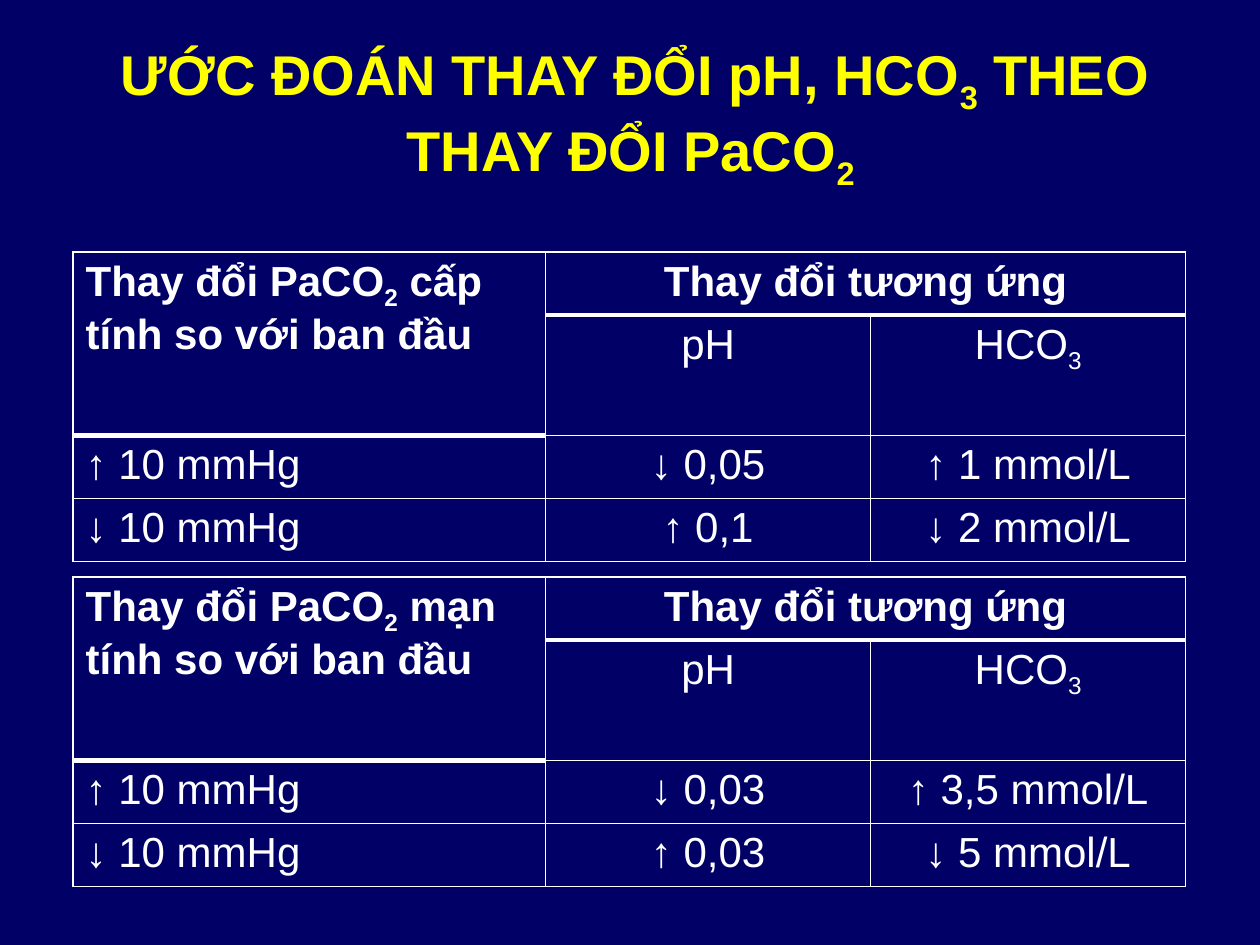
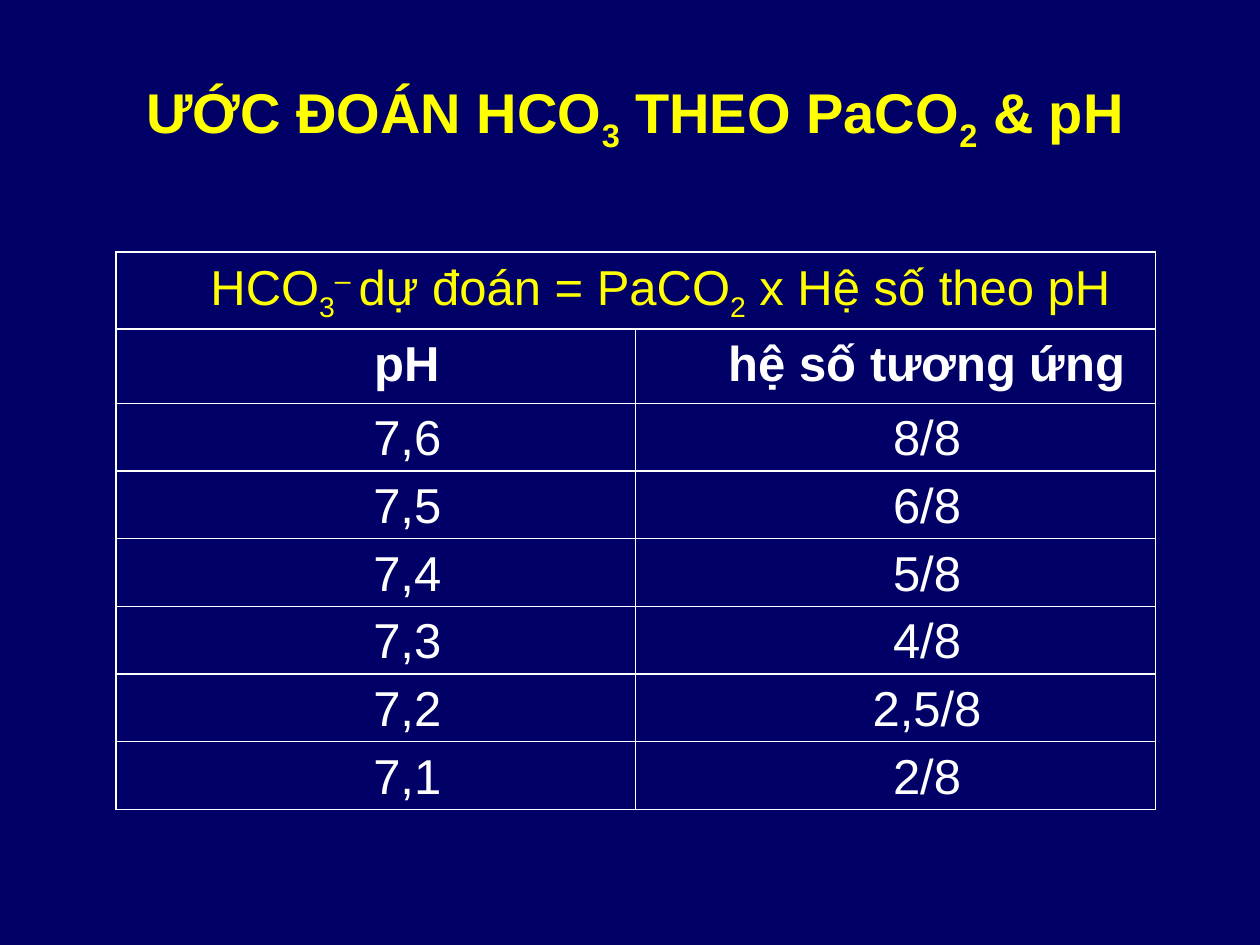
import pptx
import pptx.util
import pptx.dml.color
import pptx.enum.text
import pptx.oxml
import pptx.oxml.ns

Inches, Pt = pptx.util.Inches, pptx.util.Pt
ALIGN = pptx.enum.text.PP_ALIGN

COLORS = {"navy": "000066", "yellow": "FFFF00", "white": "FFFFFF", "black": "000000"}
FONT = "Arial"
BASELINES = {"_": "-25000", "^": "30000"}

ESTIMATE_TITLE = "ƯỚC ĐOÁN THAY ĐỔI pH, HCO|_3| THEO THAY ĐỔI PaCO|_2 "
ESTIMATES = [
    ("cấp", 2, [("↑ 10 mmHg", "↓ 0,05", "↑ 1 mmol/L"),
                ("↓ 10 mmHg", "↑ 0,1", "↓ 2 mmol/L")]),
    ("mạn", 4.58, [("↑ 10 mmHg", "↓ 0,03", "↑ 3,5 mmol/L"),
                   ("↓ 10 mmHg", "↑ 0,03", "↓ 5 mmol/L")]),
]
ESTIMATE_COLS = [3.75, 2.58, 2.5]
ESTIMATE_ROWS = [0.47, 0.9, 0.47, 0.47]
HEAVY_EDGES = {(0, 0), (1, 0), (0, 1), (0, 2)}

FACTOR_TITLE = "ƯỚC ĐOÁN HCO|_3| THEO PaCO|_2| & pH"
FACTOR_FORMULA = "HCO|_3|^– |dự đoán = PaCO|_2| x Hệ số theo pH "
FACTORS = [
    ("pH", "hệ số tương ứng"),
    ("7,6", "8/8"),
    ("7,5", "6/8"),
    ("7,4", "5/8"),
    ("7,3", "4/8"),
    ("7,2", "2,5/8"),
    ("7,1", "2/8"),
]
FACTOR_COLS = [4.125] * 2
FACTOR_ROWS = [0.58, 0.59] + [0.5] * 6


def element(xml):
    return pptx.oxml.parse_xml(xml.replace(">", " " + pptx.oxml.ns.nsdecls("a") + ">", 1))


def write(tf, text, size=24, color="white", bold=False, align=ALIGN.CENTER,
          shadow=False, indent=0, line=None, gap=None):
    p = tf.paragraphs[0]
    p.alignment = align
    if indent:
        p._p.get_or_add_pPr().set("marL", str(Inches(indent)))
        p._p.get_or_add_pPr().set("indent", "0")
    if line:
        p.line_spacing = line
    if gap:
        p.space_after = Pt(gap)
    for piece in text.split("|"):
        r = p.add_run()
        r.text = piece.lstrip("_^")
        r.font.name, r.font.size, r.font.bold = FONT, Pt(size), bold
        r.font.color.rgb = pptx.dml.color.RGBColor.from_string(COLORS[color])
        rPr = r.font._element
        if piece[0] in BASELINES:
            rPr.set("baseline", BASELINES[piece[0]])
        if shadow:
            fill = rPr.find(pptx.oxml.ns.qn("a:solidFill"))
            fill.addnext(element(
                '<a:effectLst><a:outerShdw dist="35921" dir="2700000">'
                f'<a:srgbClr val="{COLORS["black"]}"/></a:outerShdw></a:effectLst>'))


def add_slide(prs, title):
    s = prs.slides.add_slide(prs.slide_layouts[6])
    s.background.fill.solid()
    s.background.fill.fore_color.rgb = pptx.dml.color.RGBColor.from_string(COLORS["navy"])
    tf = s.shapes.add_textbox(Inches(0.47), Inches(0.42), Inches(9.14), Inches(1)).text_frame
    tf.word_wrap = True
    tf.vertical_anchor = pptx.enum.text.MSO_ANCHOR.MIDDLE
    write(tf, title, size=32, color="yellow", bold=True, shadow=True)
    return s


def set_borders(cell, widths):
    tcPr = cell._tc.get_or_add_tcPr()
    for i, (side, width) in enumerate(widths.items()):
        tcPr.insert(i, element(
            f'<a:ln{side} w="{Pt(width)}"><a:solidFill>'
            f'<a:srgbClr val="{COLORS["white"]}"/></a:solidFill></a:ln{side}>'))


def add_grid(s, left, top, cols, rows, heavy=()):
    table = s.shapes.add_table(len(rows), len(cols), Inches(left), Inches(top),
                               Inches(sum(cols)), Inches(sum(rows))).table
    table.first_row = table.horz_banding = False
    for column, width in zip(table.columns, cols):
        column.width = Inches(width)
    for i, height in enumerate(rows):
        table.rows[i].height = Inches(height)
        for j in range(len(cols)):
            cell = table.cell(i, j)
            cell.fill.background()
            set_borders(cell, {"L": 1, "R": 1,
                               "T": 3 if (i - 1, j) in heavy else 1,
                               "B": 3 if (i, j) in heavy else 1})
    return table


def add_estimate_table(s, kind, top, changes):
    table = add_grid(s, 0.58, top, ESTIMATE_COLS, ESTIMATE_ROWS, HEAVY_EDGES)
    table.cell(0, 0).merge(table.cell(1, 0))
    table.cell(0, 1).merge(table.cell(0, 2))
    write(table.cell(0, 0).text_frame, f"Thay đổi PaCO|_2| {kind} tính so với ban đầu",
          bold=True, align=ALIGN.LEFT)
    write(table.cell(0, 1).text_frame, "Thay đổi tương ứng", bold=True)
    write(table.cell(1, 1).text_frame, "pH")
    write(table.cell(1, 2).text_frame, "HCO|_3")
    for i, change in enumerate(changes, 2):
        for j, text in enumerate(change):
            write(table.cell(i, j).text_frame, text,
                  align=ALIGN.CENTER if j else ALIGN.LEFT)


def add_factor_table(s):
    table = add_grid(s, 0.92, 2, FACTOR_COLS, FACTOR_ROWS)
    table.cell(0, 0).merge(table.cell(0, 1))
    for i, row in enumerate([(FACTOR_FORMULA,)] + FACTORS):
        for j, text in enumerate(row):
            cell = table.cell(i, j)
            cell.margin_left = cell.margin_right = Inches(0.07)
            cell.margin_top = cell.margin_bottom = 0
            write(cell.text_frame, text, size=28, color="white" if i else "yellow",
                  bold=i == 1, indent=0.5, line=1.15, gap=3)


def main():
    prs = pptx.Presentation()
    prs.slide_width, prs.slide_height = Inches(10), Inches(7.5)
    s = add_slide(prs, ESTIMATE_TITLE)
    for estimate in ESTIMATES:
        add_estimate_table(s, *estimate)
    add_factor_table(add_slide(prs, FACTOR_TITLE))
    prs.save("out.pptx")


if __name__ == "__main__":
    main()
